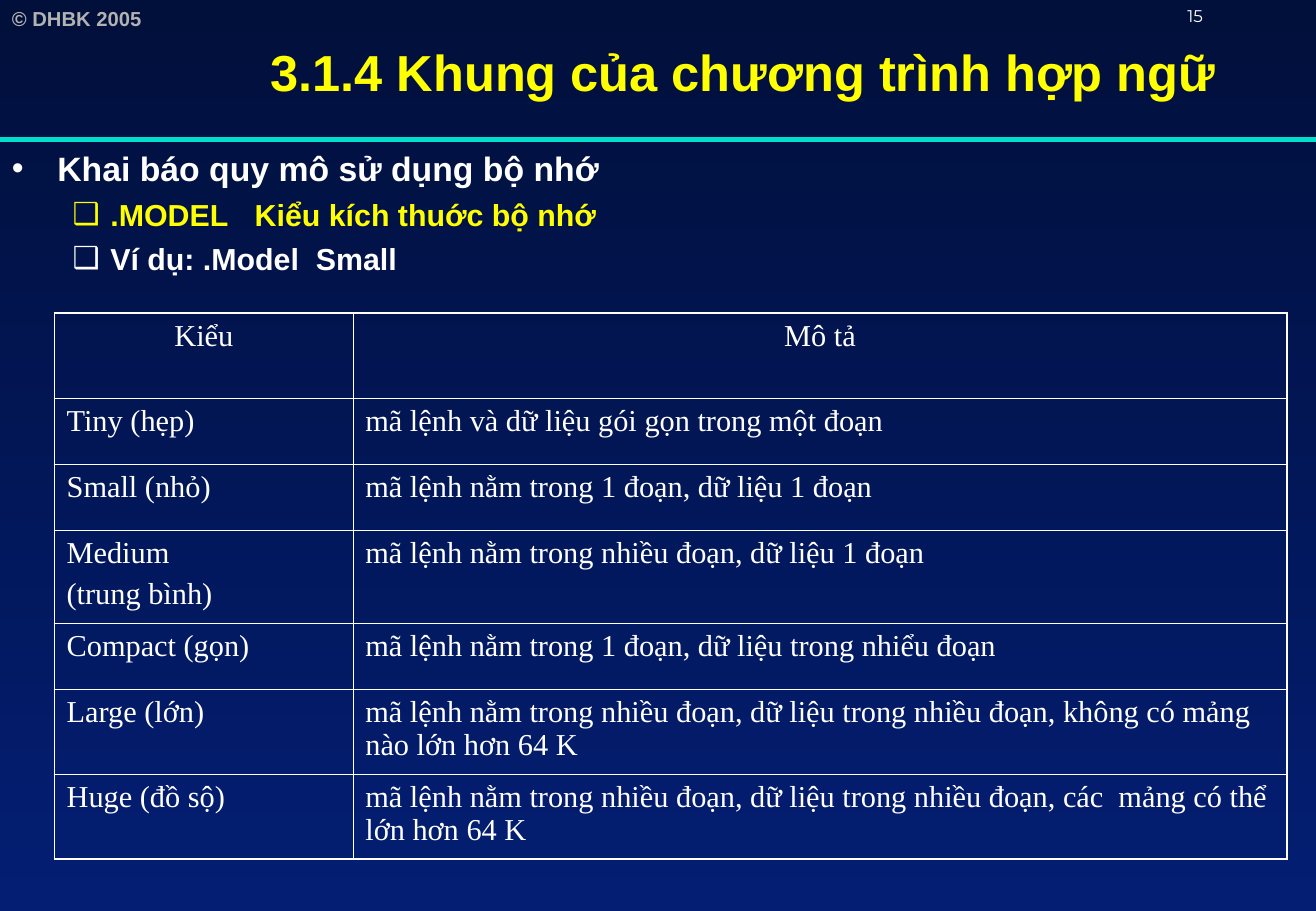
from dataclasses import dataclass

from lxml import etree
from pptx import Presentation
from pptx.dml.color import RGBColor
from pptx.enum import shapes, text
from pptx.oxml.ns import qn
from pptx.util import Cm, Pt


@dataclass(frozen=True)
class Theme:
    white: str = "FFFFFF"
    yellow: str = "FFFF00"
    grey: str = "B2B2B2"
    teal: str = "00DFCA"
    night: str = "010F3B"
    navy: str = "031E73"
    sans: str = "Arial"
    serif: str = "Times New Roman"
    number_font: str = "Montserrat"
    title_size: float = 30
    heading_size: float = 20
    body_size: float = 18
    credit_size: float = 12
    number_size: float = 10
    outer_line: float = 1.08
    inner_line: float = 0.45


THEME = Theme()


def add_element(parent, tag, **attributes):
    return etree.SubElement(parent, qn(tag), attributes)


class SlideBuilder:
    def __init__(self, deck, theme):
        self.theme = theme
        self.page = deck.slides.add_slide(deck.slide_layouts[5])

    def background(self, top, bottom):
        fill = self.page.background.fill
        fill.gradient()
        fill.gradient_angle = 270
        for stop, color in zip(fill.gradient_stops, (top, bottom)):
            stop.color.rgb = RGBColor.from_string(color)

    def add_span(self, para, words, color, size, font, bold=False):
        span = para.add_run()
        span.text = words
        for name, value in dict(name=font, size=Pt(size), bold=bold).items():
            setattr(span.font, name, value)
        span.font.color.rgb = RGBColor.from_string(color)

    def title(self, words, left, top, width, height):
        box = self.page.shapes.title
        place = dict(left=left, top=top, width=width, height=height)
        for name, value in place.items():
            setattr(box, name, Cm(value))
        box.text_frame.vertical_anchor = text.MSO_ANCHOR.MIDDLE
        para = box.text_frame.paragraphs[0]
        para.alignment = text.PP_ALIGN.CENTER
        self.add_span(para, words, self.theme.yellow, self.theme.title_size,
                      self.theme.sans, True)

    def text_frame(self, left, top, width, height):
        box = self.page.shapes.add_textbox(Cm(left), Cm(top), Cm(width), Cm(height))
        box.text_frame.word_wrap = True
        return box.text_frame

    def label(self, words, place, color, size, font, bold=False):
        para = self.text_frame(*place).paragraphs[0]
        self.add_span(para, words, color, size, font, bold)

    def bullets(self, items, place):
        """Add (level, words, color) items; level 0 is the heading."""
        theme = self.theme
        styles = (
            dict(mark="•", margin=0.95, hang=0.95, size=theme.heading_size, before=0),
            dict(mark="❑", margin=2.06, hang=0.79, size=theme.body_size, before=4.5),
        )
        frame = self.text_frame(*place)
        for index, (level, words, color) in enumerate(items):
            style = styles[level]
            para = frame.add_paragraph() if index else frame.paragraphs[0]
            para.level = level
            para.space_before = Pt(style["before"])
            props = para._p.get_or_add_pPr()
            props.set("marL", str(Cm(style["margin"])))
            props.set("indent", str(-Cm(style["hang"])))
            add_element(add_element(props, "a:buClr"), "a:srgbClr", val=color)
            add_element(props, "a:buFont", typeface=theme.sans)
            add_element(props, "a:buChar", char=style["mark"])
            tabs = add_element(props, "a:tabLst")
            add_element(tabs, "a:tab", pos=str(Cm(5.08)), algn="l")
            self.add_span(para, words, color, style["size"], theme.sans, True)

    def rule(self, left, right, y, color, weight):
        line = self.page.shapes.add_connector(
            shapes.MSO_CONNECTOR.STRAIGHT, Cm(left), Cm(y), Cm(right), Cm(y))
        line.line.color.rgb = RGBColor.from_string(color)
        line.line.width = Pt(weight)
        add_element(line._element.spPr, "a:effectLst")

    def border(self, cell, side, weight):
        line = add_element(cell._tc.get_or_add_tcPr(), f"a:ln{side}",
                           w=str(Pt(weight)))
        fill = add_element(line, "a:solidFill")
        add_element(fill, "a:srgbClr", val=self.theme.white)

    def table(self, rows, left, top, widths, heights):
        theme = self.theme
        grid = self.page.shapes.add_table(
            len(rows), len(widths), Cm(left), Cm(top),
            Cm(sum(widths)), Cm(sum(heights))).table
        grid.first_row = grid.horz_banding = False
        for column, width in zip(grid.columns, widths):
            column.width = Cm(width)
        for r, (row, height) in enumerate(zip(rows, heights)):
            grid.rows[r].height = Cm(height)
            for c, words in enumerate(row):
                cell = grid.cell(r, c)
                outer = dict(L=c == 0, R=c == len(widths) - 1,
                             T=r == 0, B=r == len(rows) - 1)
                for side, is_outer in outer.items():
                    weight = theme.outer_line if is_outer else theme.inner_line
                    self.border(cell, side, weight)
                cell.fill.background()
                frame = cell.text_frame
                for index, line in enumerate(words.split("\n")):
                    para = frame.add_paragraph() if index else frame.paragraphs[0]
                    if index:
                        para.space_before = Pt(4.5)
                    if r == 0:
                        para.alignment = text.PP_ALIGN.CENTER
                    self.add_span(para, line, theme.white, theme.body_size,
                                  theme.serif)


MEMORY_MODELS = (
    ("Kiểu", "Mô tả"),
    ("Tiny (hẹp)", "mã lệnh và dữ liệu gói gọn trong một đoạn"),
    ("Small (nhỏ)", "mã lệnh nằm trong 1 đoạn, dữ liệu 1 đoạn"),
    ("Medium\n(trung bình)", "mã lệnh nằm trong nhiều đoạn, dữ liệu 1 đoạn"),
    ("Compact (gọn)", "mã lệnh nằm trong 1 đoạn, dữ liệu trong nhiểu đoạn"),
    ("Large (lớn)", "mã lệnh nằm trong nhiều đoạn, dữ liệu trong nhiều đoạn, "
                    "không có mảng nào lớn hơn 64 K"),
    ("Huge (đồ sộ)", "mã lệnh nằm trong nhiều đoạn, dữ liệu trong nhiều đoạn, "
                     "các  mảng có thể lớn hơn 64 K"),
)


def main():
    deck = Presentation()
    deck.slide_width, deck.slide_height = Cm(27.53), Cm(19.05)
    slide = SlideBuilder(deck, THEME)
    slide.background(THEME.night, THEME.navy)
    slide.label("© DHBK 2005", (0, 0, 3.99, 0.76), THEME.grey,
                THEME.credit_size, THEME.sans, True)
    slide.rule(0, 27.53, 2.92, THEME.teal, 3)
    slide.title("3.1.4 Khung của chương trình hợp ngữ", 3.58, 0, 23.95, 2.97)
    slide.bullets((
        (0, "Khai báo quy mô sử dụng bộ nhớ", THEME.white),
        (1, ".MODEL\tKiểu kích thuớc bộ nhớ", THEME.yellow),
        (1, "Ví dụ: .Model  Small", THEME.white),
    ), (0, 2.97, 27.53, 16.08))
    slide.table(MEMORY_MODELS, 1.14, 6.55, (6.25, 19.53),
                (1.78, 1.38, 1.38, 1.94, 1.38, 1.78, 1.78))
    slide.label("15", (24.59, 0, 2.94, 0.64), THEME.white,
                THEME.number_size, THEME.number_font)
    deck.save("out.pptx")


if __name__ == "__main__":
    main()
